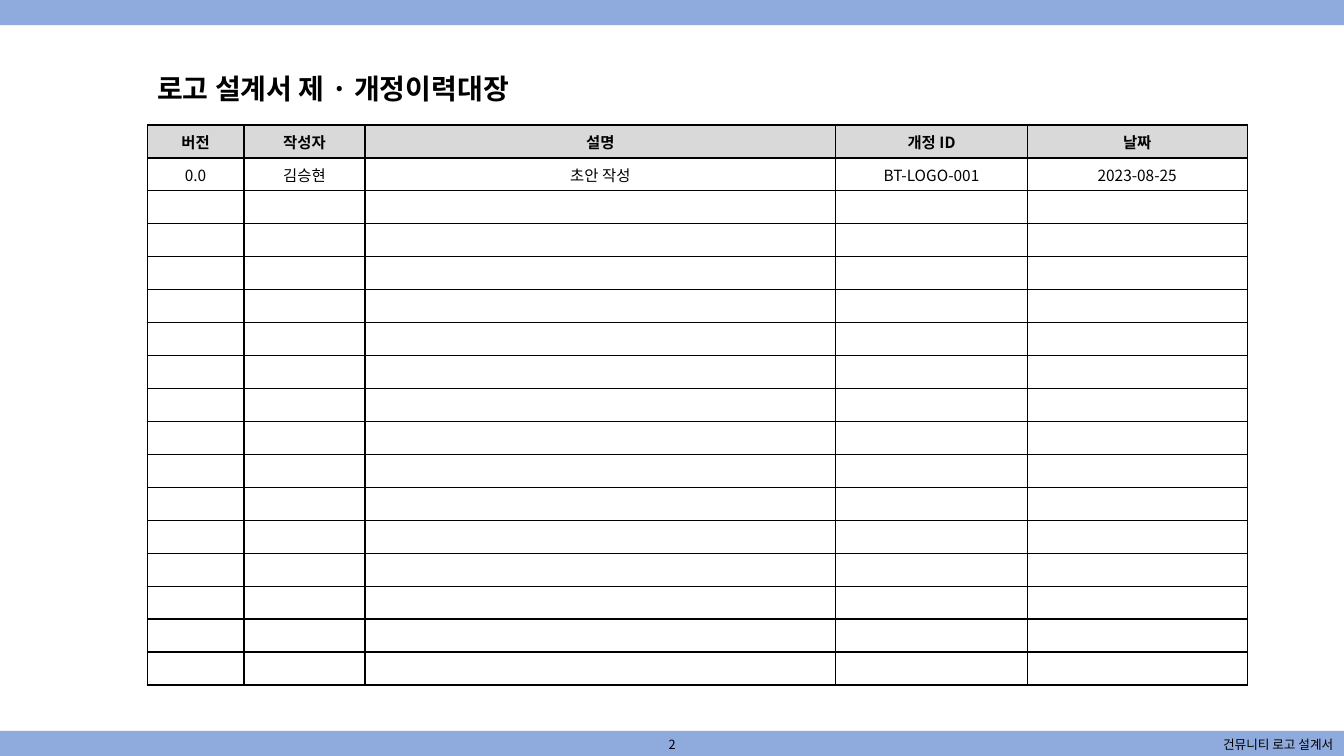
from lxml import etree
from pptx import Presentation
from pptx.dml.color import RGBColor
from pptx.enum.shapes import MSO_SHAPE
from pptx.enum.text import MSO_ANCHOR, PP_ALIGN
from pptx.oxml.ns import qn
from pptx.util import Inches, Pt

RECTANGLE = MSO_SHAPE.RECTANGLE
MIDDLE, TOP = MSO_ANCHOR.MIDDLE, MSO_ANCHOR.TOP
LEFT, CENTER, RIGHT = PP_ALIGN.LEFT, PP_ALIGN.CENTER, PP_ALIGN.RIGHT

# Content
TITLE = "로고 설계서 제 · 개정이력대장"
FOOTER = "건뮤니티 로고 설계서"
PAGE_NUMBER = "2"
HEADERS = ["버전", "작성자", "설명", "개정 ID", "날짜"]
REVISIONS = [["0.0", "김승현", "초안 작성", "BT-LOGO-001", "2023-08-25"]]
EMPTY_ROWS = 15

# Look
FONT = "Noto Sans CJK KR"
COLORS = {"band": "8FAADC", "header": "D9D9D9", "ink": "000000"}
WIDTH, HEIGHT, BAND = 13.33, 7.5, 0.25
COLUMN_WIDTHS = [0.96, 1.2, 4.67, 1.9, 2.18]
TABLE_LEFT, TABLE_TOP, TABLE_HEIGHT = 1.46, 1.24, 5.56
TABLE_SIZE = 11


def color(name):
    return RGBColor.from_string(COLORS[name])


def write(frame, text, size=TABLE_SIZE, bold=False, align=LEFT):
    paragraph = frame.paragraphs[0]
    paragraph.alignment = align
    if not text:
        # An empty cell keeps the row height through its end mark
        etree.SubElement(paragraph._p, qn("a:endParaRPr"), sz=str(size * 100))
        return
    run = paragraph.add_run()
    run.text = text
    run.font.name = FONT
    run.font.size = Pt(size)
    run.font.bold = bold
    run.font.color.rgb = color("ink")
    etree.SubElement(run._r.get_or_add_rPr(), qn("a:ea"), typeface=FONT)


def add_text(slide, text, left, top, width, height, anchor=MIDDLE, **text_format):
    frame = slide.shapes.add_textbox(
        Inches(left), Inches(top), Inches(width), Inches(height)).text_frame
    frame.word_wrap = True
    frame.vertical_anchor = anchor
    write(frame, text, **text_format)


def add_band(slide, top):
    band = slide.shapes.add_shape(
        RECTANGLE, 0, Inches(top), Inches(WIDTH), Inches(BAND))
    band.shadow.inherit = False
    band.fill.solid()
    band.fill.fore_color.rgb = color("band")
    band.line.fill.background()


def set_borders(cell):
    properties = cell._tc.get_or_add_tcPr()
    for position, side in enumerate(("a:lnL", "a:lnR", "a:lnT", "a:lnB")):
        line = etree.Element(qn(side), w=str(Pt(1)))
        fill = etree.SubElement(line, qn("a:solidFill"))
        etree.SubElement(fill, qn("a:srgbClr"), val=COLORS["ink"])
        properties.insert(position, line)


def add_history(slide):
    rows = [HEADERS, *REVISIONS] + [[""] * len(HEADERS)] * EMPTY_ROWS
    table = slide.shapes.add_table(
        len(rows), len(HEADERS), Inches(TABLE_LEFT), Inches(TABLE_TOP),
        Inches(sum(COLUMN_WIDTHS)), Inches(TABLE_HEIGHT)).table
    for column, width in zip(table.columns, COLUMN_WIDTHS):
        column.width = Inches(width)
    for row_index, texts in enumerate(rows):
        is_header = row_index == 0
        table.rows[row_index].height = Inches(TABLE_HEIGHT / len(rows))
        for column_index, text in enumerate(texts):
            cell = table.cell(row_index, column_index)
            cell.vertical_anchor = MIDDLE
            if is_header:
                cell.fill.solid()
                cell.fill.fore_color.rgb = color("header")
            else:
                cell.fill.background()
            set_borders(cell)
            write(cell.text_frame, text, bold=is_header, align=CENTER)


def main():
    presentation = Presentation()
    presentation.slide_width = Inches(WIDTH)
    presentation.slide_height = Inches(HEIGHT)
    slide = presentation.slides.add_slide(presentation.slide_layouts[6])

    # Bands at the top and bottom
    for top in (0, HEIGHT - BAND):
        add_band(slide, top)

    # Footer
    add_text(slide, FOOTER, 8.82, 7.27, 4.5, 0.24, size=9, align=RIGHT)
    add_text(slide, PAGE_NUMBER, 5.67, 7.27, 1.99, 0.24, size=9, align=CENTER)

    # Revision history
    add_history(slide)
    add_text(slide, TITLE, 1.46, 0.66, 5.18, 0.44, anchor=TOP, size=20, bold=True)

    presentation.save("out.pptx")


if __name__ == "__main__":
    main()
